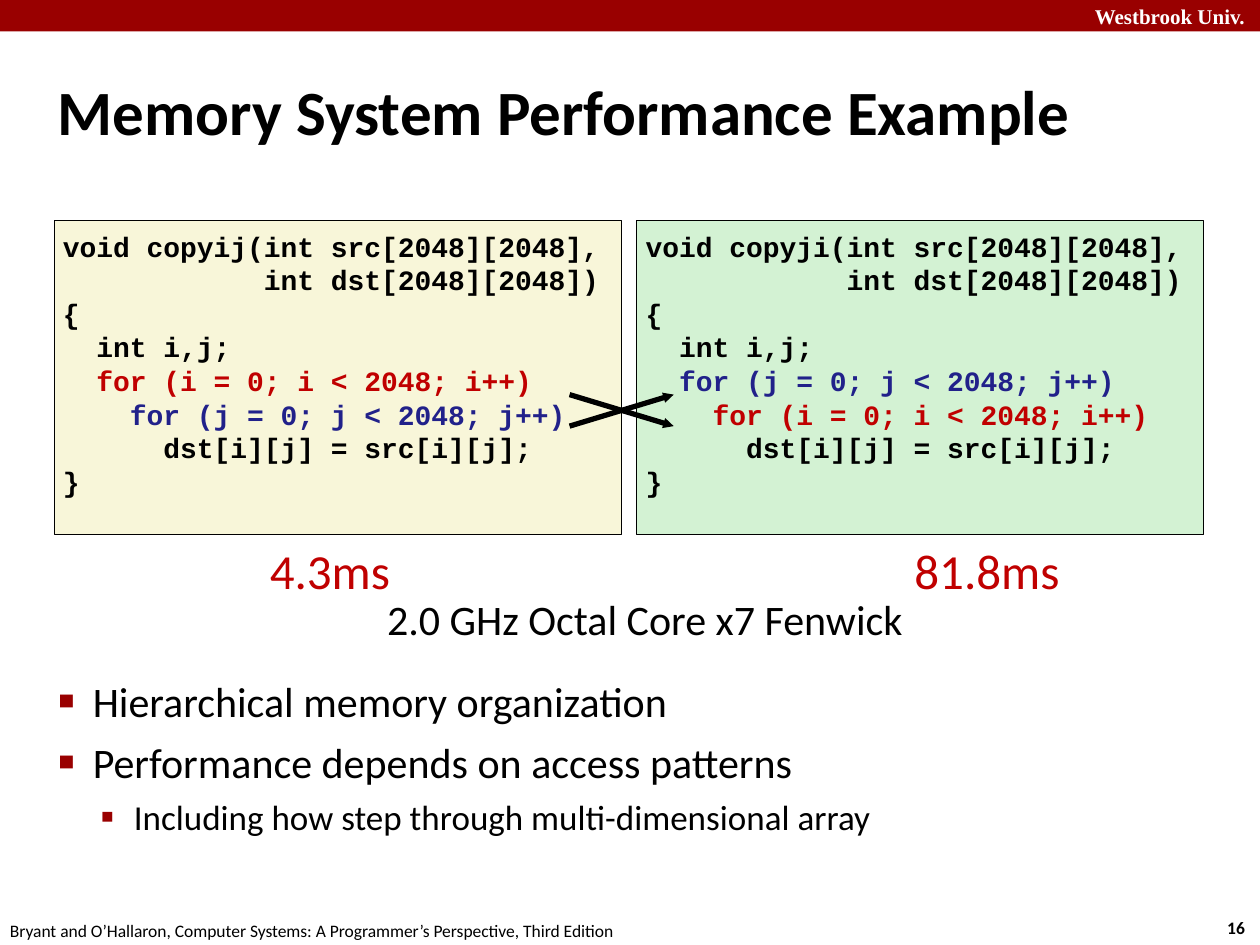
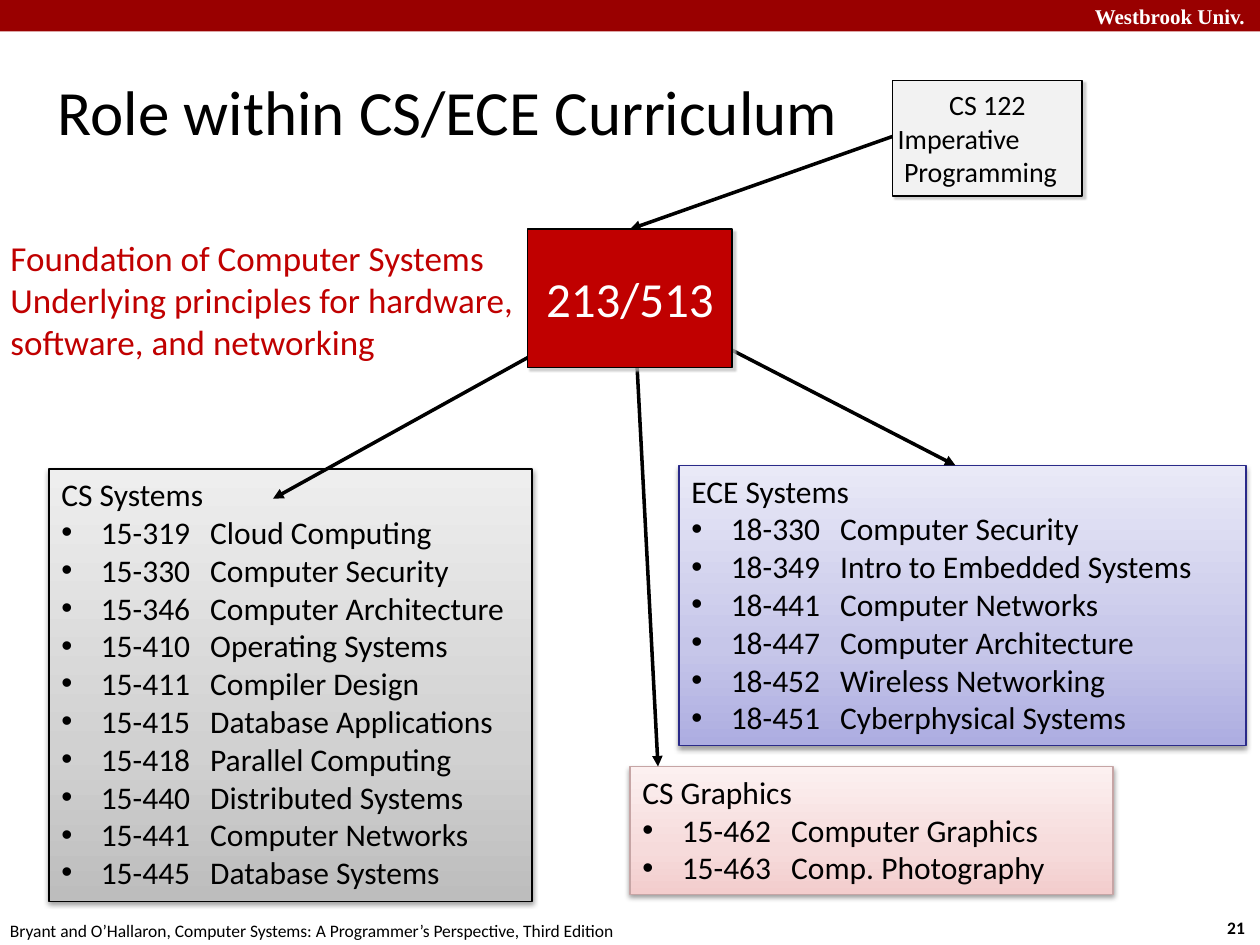
from lxml.etree import SubElement
from pptx import Presentation
from pptx.dml.color import RGBColor
from pptx.enum.shapes import MSO_CONNECTOR, MSO_SHAPE
from pptx.enum.text import MSO_ANCHOR, MSO_AUTO_SIZE, PP_ALIGN
from pptx.oxml.ns import qn
from pptx.util import Pt

C = {
    "black": "000000", "white": "FFFFFF", "band": "990000", "red": "C00000",
    "blue": "21218A", "cream": "F8F6D9", "mint": "D3F2D3", "pale": "F2F2F2",
    "silver": "C0C0C0", "navy": "2A2A89", "rose": "C6A5A5",
}
GRADIENTS = {
    "gray": ("BDBDBD", "D1D1D1", "EEEEEE"),
    "lilac": ("ADADE1", "C6C6E9", "E9E9F7"),
    "pink": ("F3CDCD", "F6DBDB", "FCF0F0"),
}
LEFT, CENTER, RIGHT = PP_ALIGN.LEFT, PP_ALIGN.CENTER, PP_ALIGN.RIGHT
SOFT = ("black", 38, 3.1, 1.6, 90)     # colour, opacity, blur, distance, angle
HARD = ("silver", 75, 1, 2, 45)


def add_xml(parent, tag, **attrs):
    return SubElement(parent, qn(tag), {k: str(v) for k, v in attrs.items()})


def add_box(s, at, lines, size=18, color="black", font="Calibri", bold=False,
            align=LEFT, inset=None, anchor=MSO_ANCHOR.TOP, wrap=True,
            fill=None, line=None, width=1, shadow=None):
    """Add a text box, or a rectangle when a fill is given."""
    at = [Pt(v) for v in at]
    if fill is None:
        sp = s.shapes.add_textbox(*at)
    else:
        sp = s.shapes.add_shape(MSO_SHAPE.RECTANGLE, *at)
        sp.shadow.inherit = False
        if fill in GRADIENTS:
            sp.fill.gradient()
            sp.fill.gradient_angle = 90
            stops = next(sp._element.iter(qn("a:gsLst")))
            stops.clear()
            for pos, rgb in zip((0, 35000, 100000), GRADIENTS[fill]):
                add_xml(add_xml(stops, "a:gs", pos=pos), "a:srgbClr", val=rgb)
        else:
            sp.fill.solid()
            sp.fill.fore_color.rgb = RGBColor.from_string(C[fill])
        if line:
            sp.line.color.rgb = RGBColor.from_string(C[line])
            sp.line.width = Pt(width)
        else:
            sp.line.fill.background()
        if shadow:
            tone, alpha, blur, dist, angle = shadow
            effects = next(sp._element.iter(qn("a:effectLst")))
            outer = add_xml(effects, "a:outerShdw", blurRad=Pt(blur), dist=Pt(dist),
                            dir=angle * 60000, algn="t", rotWithShape=0)
            clr = add_xml(outer, "a:srgbClr", val=C[tone])
            add_xml(clr, "a:alpha", val=alpha * 1000)
    tf = sp.text_frame
    tf.word_wrap = wrap
    tf.vertical_anchor = anchor
    if inset is not None:
        tf.margin_left = tf.margin_right = tf.margin_top = tf.margin_bottom = Pt(inset)
    for i, text in enumerate(lines):
        p = tf.paragraphs[0] if i == 0 else tf.add_paragraph()
        p.text = text
        p.alignment = align
        p.font.size = Pt(size)
        for r in p.runs:
            r.font.name = font
            r.font.size = Pt(size)
            r.font.bold = bold
            r.font.color.rgb = RGBColor.from_string(C[color])
    return sp


prs = Presentation()
prs.slide_width, prs.slide_height = Pt(720), Pt(540)

# Shared frame: band, footer, number and title
slides = []
for title, number, bold in (("Memory System Performance Example", "16", True),
                            ("Role within CS/ECE Curriculum", "21", False)):
    s = prs.slides.add_slide(prs.slide_layouts[5])
    add_box(s, (693, 520.5, 26.5, 19.5), [number], 10, bold=True, align=CENTER, wrap=False)
    add_box(s, (-5, 522, 366, 19.5),
            ["Bryant and O’Hallaron, Computer Systems: A Programmer’s Perspective, Third Edition"],
            10, align=CENTER, wrap=False)
    add_box(s, (0, 0, 720, 18), [], fill="band")
    add_box(s, (598.5, -1.5, 120, 21.5), ["Westbrook Univ."], 12, "white",
            "Times New Roman", bold=True, align=RIGHT, wrap=False)
    sp = s.shapes.title
    sp.left, sp.top, sp.width, sp.height = Pt(30), Pt(20), Pt(660), Pt(86)
    tf = sp.text_frame
    tf.text = title
    tf.auto_size = MSO_AUTO_SIZE.NONE
    tf.vertical_anchor = MSO_ANCHOR.MIDDLE
    tf.margin_left = tf.margin_right = tf.margin_top = tf.margin_bottom = Pt(3)
    p = tf.paragraphs[0]
    p.alignment = LEFT
    r = p.runs[0]
    r.font.name, r.font.size, r.font.bold = "Calibri", Pt(36), bold
    r.font.color.rgb = RGBColor.from_string(C["black"])
    slides.append(s)
memory, roles = slides

# Memory slide: the two loop orders
loop_colors = {"i": "red", "j": "blue"}
for order, x, fill in (("ij", 31, "cream"), ("ji", 364, "mint")):
    outer, inner = [f"for ({v} = 0; {v} < 2048; {v}++)" for v in order]
    code = [f"void copy{order}(int src[2048][2048],",
            "            int dst[2048][2048])",
            "{",
            "  int i,j;",
            "  " + outer,
            "    " + inner,
            "      dst[i][j] = src[i][j];",
            "}"]
    sp = add_box(memory, (x, 126, 324, 179.5), code, 16, font="Courier New", bold=True,
                 inset=5, fill=fill, line="black", width=0.5)
    paragraphs = sp.text_frame.paragraphs
    for p in paragraphs:
        p.line_spacing = Pt(19.2)
    for p, v in zip(paragraphs[4:6], order):
        p.runs[0].font.color.rgb = RGBColor.from_string(C[loop_colors[v]])

# Memory slide: timings
for text, at, size, color in (("4.3ms", (146, 306, 85, 41), 28, "red"),
                              ("81.8ms", (518.5, 306, 91, 40), 28, "red"),
                              ("2.0 GHz Octal Core x7 Fenwick", (188.5, 336, 360, 35), 24, "black")):
    add_box(memory, at, [text], size, color, align=CENTER, inset=3, wrap=False)

# Memory slide: bullets (size, space before, indent, hanging, bullet size)
main, detail = (24, 6, 20, 20, 120), (20, 5, 43.5, 19, 110)
sp = add_box(memory, (30, 383, 660, 121),
             ["Hierarchical memory organization",
              "Performance depends on access patterns",
              "Including how step through multi-dimensional array"], inset=3)
for p, style in zip(sp.text_frame.paragraphs, (main, main, detail)):
    size, before, indent, hanging, percent = style
    p.runs[0].font.size = Pt(size)
    p.space_before = Pt(before)
    pPr = p._p.get_or_add_pPr()
    pPr.set("marL", str(Pt(indent)))
    pPr.set("indent", str(-Pt(hanging)))
    add_xml(add_xml(pPr, "a:buClr"), "a:srgbClr", val=C["band"])
    add_xml(pPr, "a:buSzPct", val=percent * 1000)
    add_xml(pPr, "a:buFont", typeface="Calibri")
    add_xml(pPr, "a:buChar", char="▪")

# Curriculum slide: prerequisite and motto
sp = add_box(roles, (510, 46, 108.5, 66), ["CS 122", "Imperative", " Programming"], 16,
             inset=3, anchor=MSO_ANCHOR.MIDDLE, fill="pale", line="black", shadow=HARD)
sp.text_frame.paragraphs[0].alignment = CENTER
sp = add_box(roles, (3, 132, 307, 78),
             ["Foundation of Computer Systems\vUnderlying principles for hardware, "
              "\vsoftware, and networking"], 20, "red", inset=3)
sp.text_frame.paragraphs[0].space_before = Pt(4.8)

# Curriculum slide: course lists
areas = [
    ("CS Systems", (28, 268, 276, 247), "gray", "black",
     ["15-319\tCloud Computing", "15-330\tComputer Security",
      "15-346\tComputer Architecture", "15-410\tOperating Systems",
      "15-411\tCompiler Design", "15-415\tDatabase Applications",
      "15-418\tParallel Computing", "15-440\tDistributed Systems",
      "15-441\tComputer Networks", "15-445\tDatabase Systems"]),
    ("ECE Systems", (388, 266, 324, 160), "lilac", "navy",
     ["18-330\tComputer Security", "18-349\tIntro to Embedded Systems",
      "18-441\tComputer Networks", "18-447\tComputer Architecture",
      "18-452\tWireless Networking", "18-451\tCyberphysical Systems"]),
    ("CS Graphics", (360, 438, 276, 73), "pink", "rose",
     ["15-462\tComputer Graphics", "15-463\tComp. Photography"]),
]
for area, at, fill, line, courses in areas:
    sp = add_box(roles, at, [area] + courses, fill=fill, line=line, width=0.75, shadow=SOFT)
    for p in sp.text_frame.paragraphs[1:]:
        pPr = p._p.get_or_add_pPr()
        pPr.set("marL", str(Pt(22.5)))
        pPr.set("indent", str(-Pt(22.5)))
        add_xml(pPr, "a:buFont", typeface="Arial")
        add_xml(pPr, "a:buChar", char="•")
        add_xml(add_xml(pPr, "a:tabLst"), "a:tab", pos=Pt(85), algn="l")

# Arrows on both slides
for s, width, head, x1, y1, x2, y2 in ((memory, 3, "sm", 325.5, 225.5, 385, 243.5),
                                       (memory, 3, "sm", 325.5, 243.5, 385, 225.5),
                                       (roles, 2, "med", 510, 78, 360, 131),
                                       (roles, 2, "med", 363.5, 170, 156, 285),
                                       (roles, 2, "med", 362, 170, 376, 438),
                                       (roles, 2, "med", 360, 170, 546, 266)):
    cn = s.shapes.add_connector(MSO_CONNECTOR.STRAIGHT, Pt(x1), Pt(y1), Pt(x2), Pt(y2))
    cn.line.color.rgb = RGBColor.from_string(C["black"])
    cn.line.width = Pt(width)
    add_xml(cn.line._get_or_add_ln(), "a:tailEnd", type="triangle", w=head, len=head)
    add_xml(cn._element.spPr, "a:effectLst")

# Curriculum slide: central course, over the arrow starts
add_box(roles, (301.5, 131, 117, 79), ["213/513"], 28, "white", align=CENTER, inset=0,
        anchor=MSO_ANCHOR.MIDDLE, fill="red", line="black", shadow=HARD)

prs.save("out.pptx")
